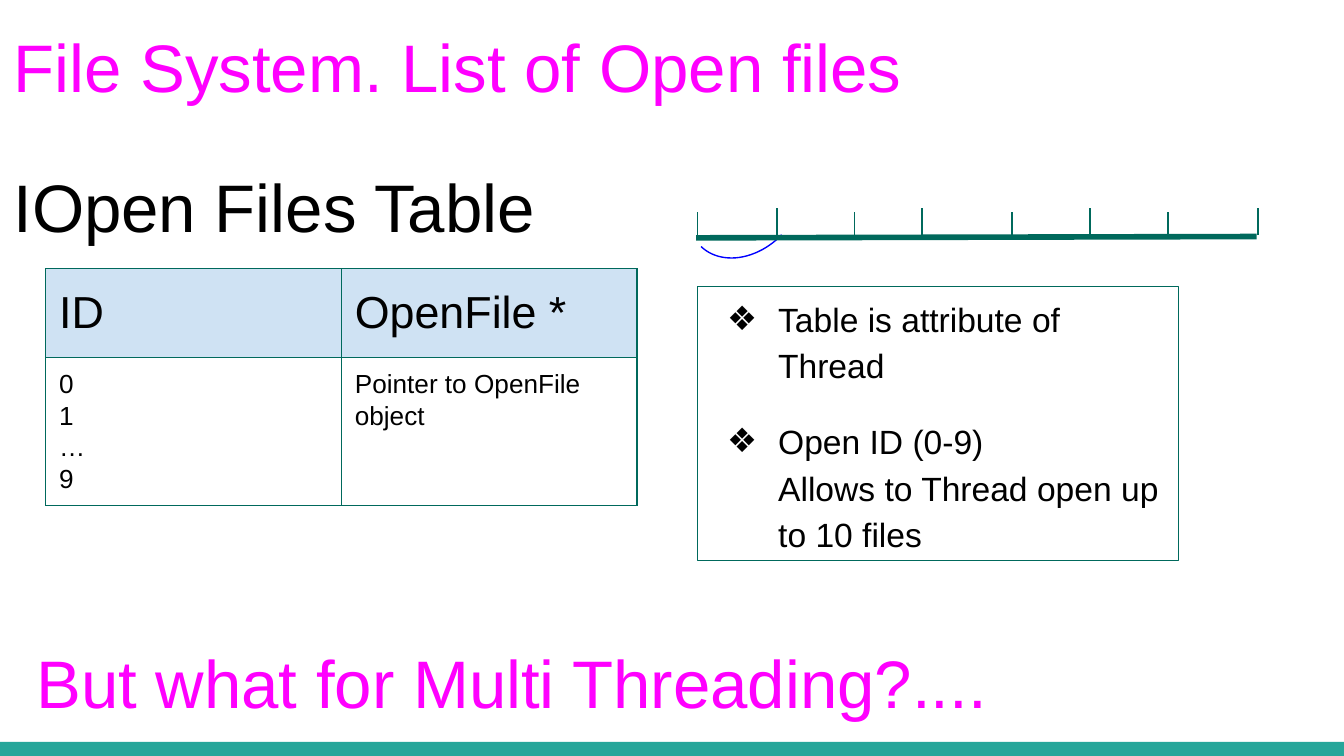
from typing import NamedTuple

from lxml.etree import SubElement
from pptx import Presentation
from pptx.dml.color import RGBColor
from pptx.enum.shapes import MSO_CONNECTOR, MSO_SHAPE
from pptx.enum.text import MSO_ANCHOR as Anchor, MSO_AUTO_SIZE, PP_ALIGN as Align
from pptx.oxml.ns import qn
from pptx.util import Inches, Pt

FONT = "Arial"
BLACK, WHITE, MAGENTA = "000000", "FFFFFF", "FF00FF"
GREEN, TEAL, PALE_BLUE, BLUE = "00695C", "26A69A", "CFE2F3", "0000FF"


class Box(NamedTuple):
    left: float
    top: float
    width: float
    height: float

    def lengths(self):
        return [Inches(value) for value in self]


class Segment(NamedTuple):
    x1: float
    y1: float
    x2: float
    y2: float
    weight: float = 0.75


class Cell(NamedTuple):
    text: str
    size: float
    fill: str
    anchor: Anchor
    spacing: float = 1.0


def rgb(color: str) -> RGBColor:
    return RGBColor.from_string(color)


def format_paragraph(paragraph, size: float, color: str) -> None:
    paragraph.alignment = Align.LEFT
    for run in paragraph.runs:
        run.font.name, run.font.size = FONT, Pt(size)
        run.font.color.rgb = rgb(color)


def place(holder, box: Box, anchor: Anchor, top_inset: float = 0.1):
    """Move a placeholder and return its text frame, ready for text."""
    holder.left, holder.top, holder.width, holder.height = box.lengths()
    frame = holder.text_frame
    frame.word_wrap, frame.auto_size = True, MSO_AUTO_SIZE.NONE
    frame.vertical_anchor = anchor
    frame.margin_left = frame.margin_right = frame.margin_bottom = Inches(0.1)
    frame.margin_top = Inches(top_inset)
    return frame


def set_bullet(paragraph, char: str = "") -> None:
    props = paragraph._p.get_or_add_pPr()
    props.set("marL", str(Inches(0.5) if char else 0))
    props.set("indent", str(Inches(-0.38) if char else 0))
    if char:
        SubElement(props, qn("a:buChar")).set("char", char)
    else:
        SubElement(props, qn("a:buNone"))


def draw_line(shapes, segment: Segment) -> None:
    ends = [Inches(value) for value in segment[:4]]
    line = shapes.add_connector(MSO_CONNECTOR.STRAIGHT, *ends)
    line.line.color.rgb = rgb(GREEN)
    line.line.width = Pt(segment.weight)
    SubElement(line._element.spPr, qn("a:effectLst"))


def draw_shape(shapes, kind: MSO_SHAPE, box: Box, fill: str, outline: str = ""):
    shape = shapes.add_shape(kind, *box.lengths())
    shape.shadow.inherit = False
    shape.fill.solid()
    shape.fill.fore_color.rgb = rgb(fill)
    if outline:
        shape.line.color.rgb, shape.line.width = rgb(outline), Pt(0.75)
    else:
        shape.line.fill.background()
    return shape


def fill_cell(cell, content: Cell) -> None:
    cell.text = content.text
    cell.vertical_anchor = content.anchor
    cell.margin_left = cell.margin_right = Inches(0.1)
    cell.margin_top = cell.margin_bottom = Inches(0.08)
    for paragraph in cell.text_frame.paragraphs:
        format_paragraph(paragraph, content.size, BLACK)
        paragraph.line_spacing = content.spacing
    props = cell._tc.get_or_add_tcPr()
    for side in ("a:lnL", "a:lnR", "a:lnT", "a:lnB"):
        border = SubElement(props, qn(side), w=str(Pt(0.75)))
        solid = SubElement(border, qn("a:solidFill"))
        SubElement(solid, qn("a:srgbClr"), val=GREEN)
    cell.fill.solid()
    cell.fill.fore_color.rgb = rgb(content.fill)


# A 16:9 slide
deck = Presentation()
deck.slide_width = Inches(10)
deck.slide_height = deck.slide_width * 9 // 16
slide = deck.slides.add_slide(deck.slide_layouts[3])
shapes = slide.shapes
title, notes, closing = list(slide.placeholders)[:3]

# Bottom band
draw_shape(shapes, MSO_SHAPE.RECTANGLE, Box(0, 5.52, 10, 0.11), TEAL)

# Title with the table heading below it
heading = place(title, Box(0, 0, 7.6, 0.88), Anchor.TOP, 0.19)
heading.text = "File System. List of Open files\nIOpen Files Table"
for paragraph, color in zip(heading.paragraphs, (MAGENTA, BLACK)):
    format_paragraph(paragraph, 36, color)
    paragraph.line_spacing = 1.0
heading.paragraphs[1].space_before = Pt(31.5)

# Closing question
question = place(closing, Box(0.17, 4.58, 7.6, 0.88), Anchor.TOP, 0.19)
question.text = "But what for Multi Threading?...."
question.paragraphs[0].space_before = Pt(0)
format_paragraph(question.paragraphs[0], 36, MAGENTA)
set_bullet(question.paragraphs[0])

# Framed list
remarks = place(notes, Box(5.19, 2.13, 3.58, 2.04), Anchor.MIDDLE)
notes.fill.solid()
notes.fill.fore_color.rgb = rgb(WHITE)
notes.line.color.rgb, notes.line.width = rgb(GREEN), Pt(0.75)
remarks.text = ("Table is attribute of Thread\n"
                "Open ID (0-9)\vAllows to Thread open up to 10 files")
for paragraph in remarks.paragraphs:
    format_paragraph(paragraph, 18, BLACK)
    paragraph.line_spacing = 1.15
    paragraph.space_before, paragraph.space_after = Pt(0), Pt(16)
    set_bullet(paragraph, "❖")

# Open files table
ROWS = [
    (0.66, [Cell(text, 24, PALE_BLUE, Anchor.MIDDLE)
            for text in ("ID", "OpenFile *")]),
    (1.1, [Cell(text, 14, WHITE, Anchor.TOP, 1.07)
           for text in ("0\n1\n…\n9", "Pointer to OpenFile\nobject")]),
]
open_files = shapes.add_table(2, 2, *Box(0.34, 2, 4.4, 1.76).lengths()).table
for column in open_files.columns:
    column.width = Inches(2.2)
for row, (height, contents) in zip(open_files.rows, ROWS):
    row.height = Inches(height)
    for cell, content in zip(row.cells, contents):
        fill_cell(cell, content)

# Scale: an arc under the first step, ticks of two heights, a thick base
arc = draw_shape(shapes, MSO_SHAPE.ARC, Box(5.07, 1.12, 0.96, 0.74), WHITE, BLUE)
arc.rotation = 134.1
for index, x in enumerate((5.19, 5.78, 6.36, 6.86, 7.53, 8.11, 8.69, 9.36)):
    draw_line(shapes, Segment(x, 1.75, x, 1.55 if index % 2 else 1.58))
draw_line(shapes, Segment(5.18, 1.77, 9.35, 1.76, weight=3))

deck.save("out.pptx")
